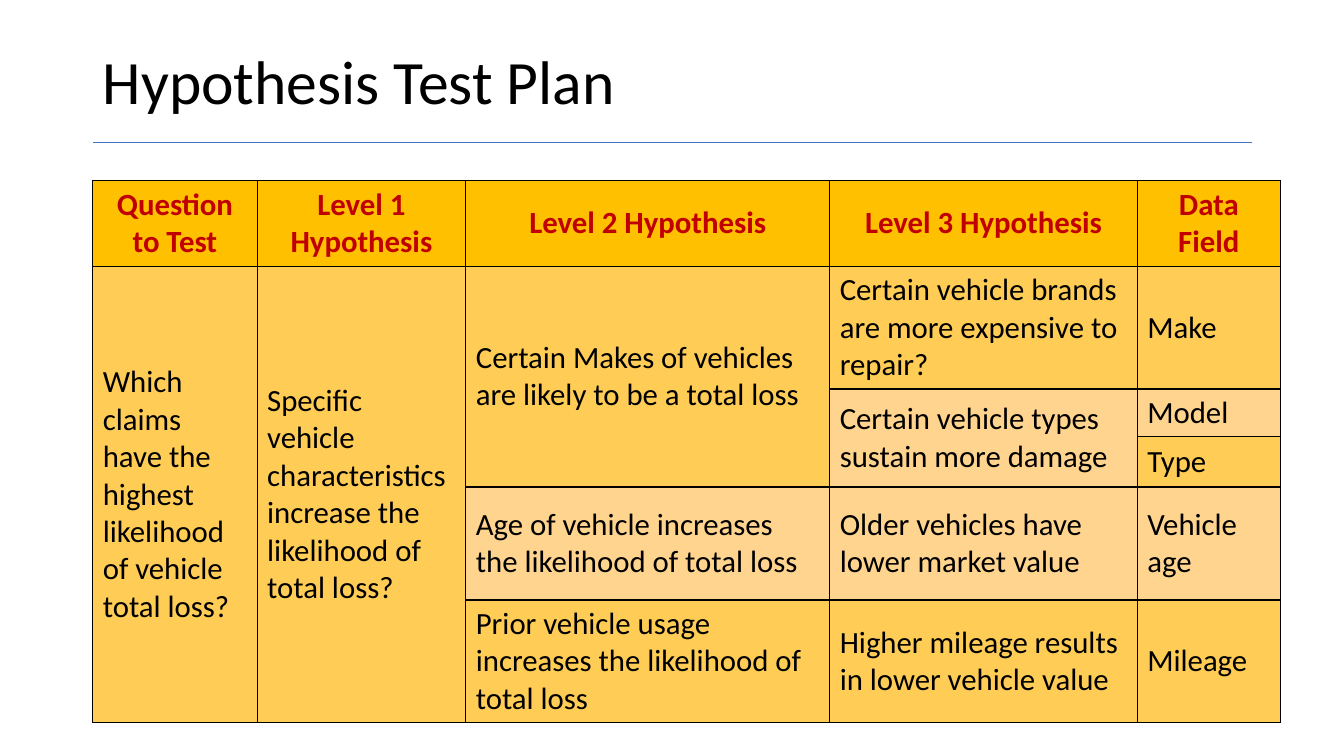
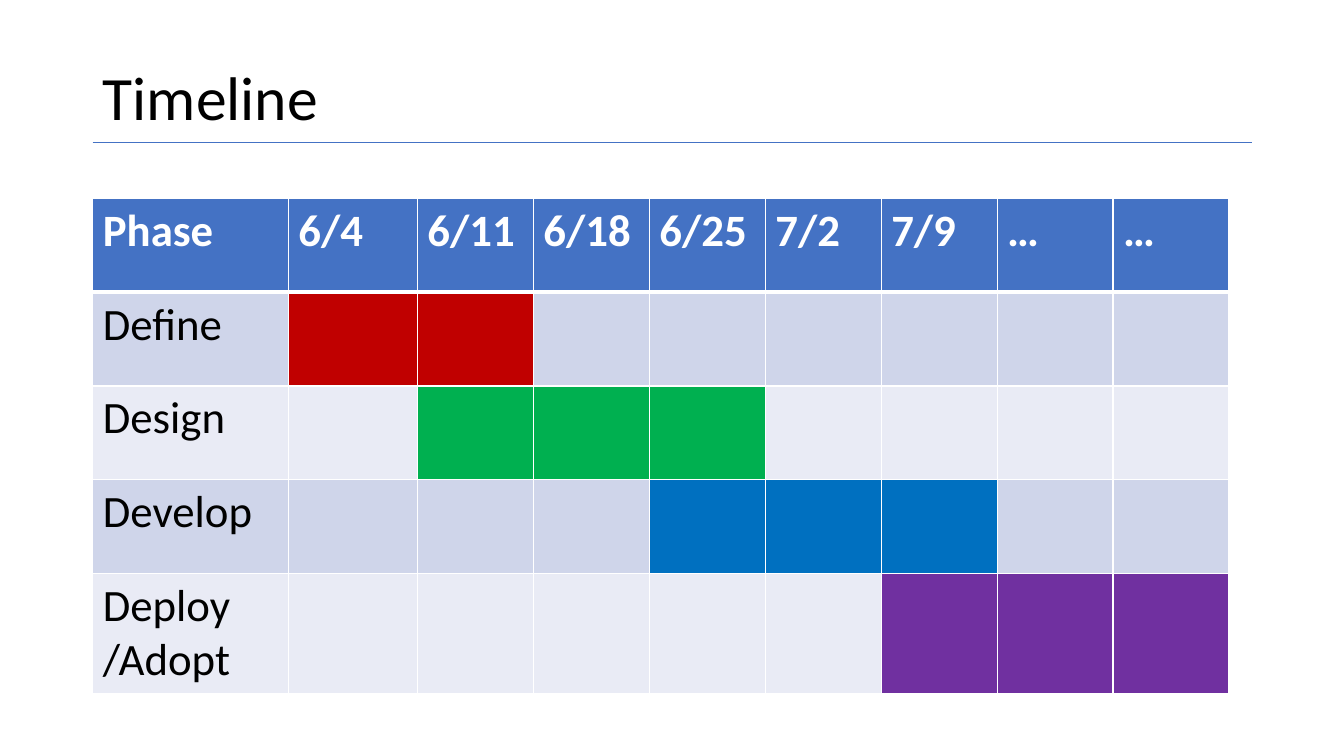
from lxml import etree
from pptx import Presentation
from pptx.dml.color import RGBColor
from pptx.enum.shapes import MSO_CONNECTOR
from pptx.enum.text import MSO_ANCHOR, MSO_AUTO_SIZE, PP_ALIGN
from pptx.oxml.ns import qn
from pptx.util import Emu, Pt

MID, TOP = MSO_ANCHOR.MIDDLE, MSO_ANCHOR.TOP
LEFT, MIDST = PP_ALIGN.LEFT, PP_ALIGN.CENTER
LINE = MSO_CONNECTOR.STRAIGHT
FIXED = MSO_AUTO_SIZE.NONE
SCALE = 9144
FACE = "Calibri"
BLACK, WHITE, BLUE, RED = "000000", "FFFFFF", "4472C4", "C00000"
GOLD, AMBER, PEACH = "FFC000", "FFCC56", "FFD48F"
BANDS = ["E9EBF5", "CFD5EA"]
EDGE = 92

PLAN = [
    ["Question to Test", "Level 1 Hypothesis", "Level 2 Hypothesis",
     "Level 3 Hypothesis", "Data Field"],
    ["Which claims have the highest likelihood of vehicle total loss?",
     "Specific vehicle characteristics increase the likelihood of total loss?",
     "Certain Makes of vehicles are likely to be a total loss",
     "Certain vehicle brands are more expensive to repair?", "Make"],
    ["", "", "", "Certain vehicle types sustain more damage", "Model"],
    ["", "", "", "", "Type"],
    ["", "", "Age of vehicle increases the likelihood of total loss",
     "Older vehicles have lower market value", "Vehicle age"],
    ["", "", "Prior vehicle usage increases the likelihood of total loss",
     "Higher mileage results in lower vehicle value", "Mileage"],
]
SPANS = [(1, 0, 5), (1, 1, 5), (1, 2, 3), (2, 3, 2)]
DATES = ["Phase", "6/4", "6/11", "6/18", "6/25", "7/2", "7/9", "…", "…"]
PHASES = [
    ("Define", 1, 2, RED),
    ("Design", 2, 4, "00B050"),
    ("Develop", 4, 6, "0070C0"),
    ("Deploy\n/Adopt", 6, 8, "7030A0"),
]


def px(num):
    return Emu(num * SCALE)


def tint(code):
    return RGBColor.from_string(code)


def apply(item, style):
    for key, value in style.items():
        setattr(item, key, value)


def format_text(frame, size, color, bold, align):
    for para in frame.paragraphs:
        para.alignment = align
        apply(para.font, {"size": Pt(size), "name": FACE, "bold": bold})
        para.font.color.rgb = tint(color)


def add_rule(slide, layout):
    rule = slide.shapes.add_connector(LINE, px(EDGE), px(141), px(1242), px(141))
    rule.line.color.rgb = tint(BLUE)
    rule.line.width = Pt(0.5)
    etree.SubElement(rule._element.spPr, qn("a:effectLst"))
    layout.shapes._spTree.append(rule._element)


def add_slide(deck, layout, text, top):
    slide = deck.slides.add_slide(layout)
    title = slide.shapes.title
    apply(title, {"left": px(EDGE), "top": px(top),
                  "width": px(1150), "height": px(87)})
    frame = title.text_frame
    frame.text = text
    apply(frame, {"vertical_anchor": MID, "word_wrap": True, "auto_size": FIXED})
    frame.paragraphs[0].line_spacing = 0.9
    format_text(frame, 44, BLACK, False, LEFT)
    return slide


def add_edge(cell, side, color, width):
    props = cell._tc.get_or_add_tcPr()
    line = etree.SubElement(props, qn("a:ln" + side), w=str(Pt(width)))
    fill = etree.SubElement(line, qn("a:solidFill"))
    etree.SubElement(fill, qn("a:srgbClr"), val=color)


def add_grid(slide, top, cols, rows):
    shape = slide.shapes.add_table(len(rows), len(cols), px(EDGE), px(top),
                                   px(sum(cols)), px(sum(rows)))
    grid = shape.table
    for col, width in zip(grid.columns, cols):
        col.width = px(width)
    for row, height in zip(grid.rows, rows):
        row.height = px(height)
    return grid


def set_cell(cell, text, fill, edges, size, color, bold, align, anchor):
    for side, (shade, width) in edges.items():
        add_edge(cell, side, shade, width)
    cell.fill.solid()
    cell.fill.fore_color.rgb = tint(fill)
    cell.vertical_anchor = anchor
    if text:
        cell.text_frame.text = text
        format_text(cell.text_frame, size, color, bold, align)


def fill_plan(slide):
    grid = add_grid(slide, 179, [163, 207, 361, 305, 142],
                    [85, 122, 47, 50, 112, 122])
    edges = dict.fromkeys("LRTB", (BLACK, 1))
    for r, row in enumerate(PLAN):
        head = r == 0
        fill = GOLD if head else AMBER if r % 2 else PEACH
        for c, text in enumerate(row):
            set_cell(grid.cell(r, c), text, fill, edges, 22,
                     RED if head else BLACK, head, MIDST if head else LEFT, MID)
    for r, c, count in SPANS:
        grid.cell(r, c).merge(grid.cell(r + count - 1, c))


def fill_time(slide):
    grid = add_grid(slide, 197, [194, 128] + [115] * 7, [93] * 4 + [118])
    thin, thick = (WHITE, 1), (WHITE, 3)
    for c, text in enumerate(DATES):
        edges = {"L": thin, "R": thin, "T": thin, "B": thick}
        set_cell(grid.cell(0, c), text, BLUE, edges, 32, WHITE, True, LEFT, TOP)
    for r, (name, start, end, color) in enumerate(PHASES, 1):
        edges = {"L": thin, "R": thin, "T": thick if r == 1 else thin, "B": thin}
        for c in range(len(DATES)):
            fill = color if start <= c <= end else BANDS[r % 2]
            set_cell(grid.cell(r, c), "" if c else name, fill, edges,
                     32, BLACK, False, LEFT, TOP)


def main():
    deck = Presentation()
    apply(deck, {"slide_width": px(1333), "slide_height": px(750)})
    layout = deck.slide_layouts[5]
    plan = add_slide(deck, layout, "Hypothesis Test Plan", 40)
    add_rule(plan, layout)
    fill_plan(plan)
    fill_time(add_slide(deck, layout, "Timeline", 56))
    deck.save("out.pptx")


if __name__ == "__main__":
    main()
